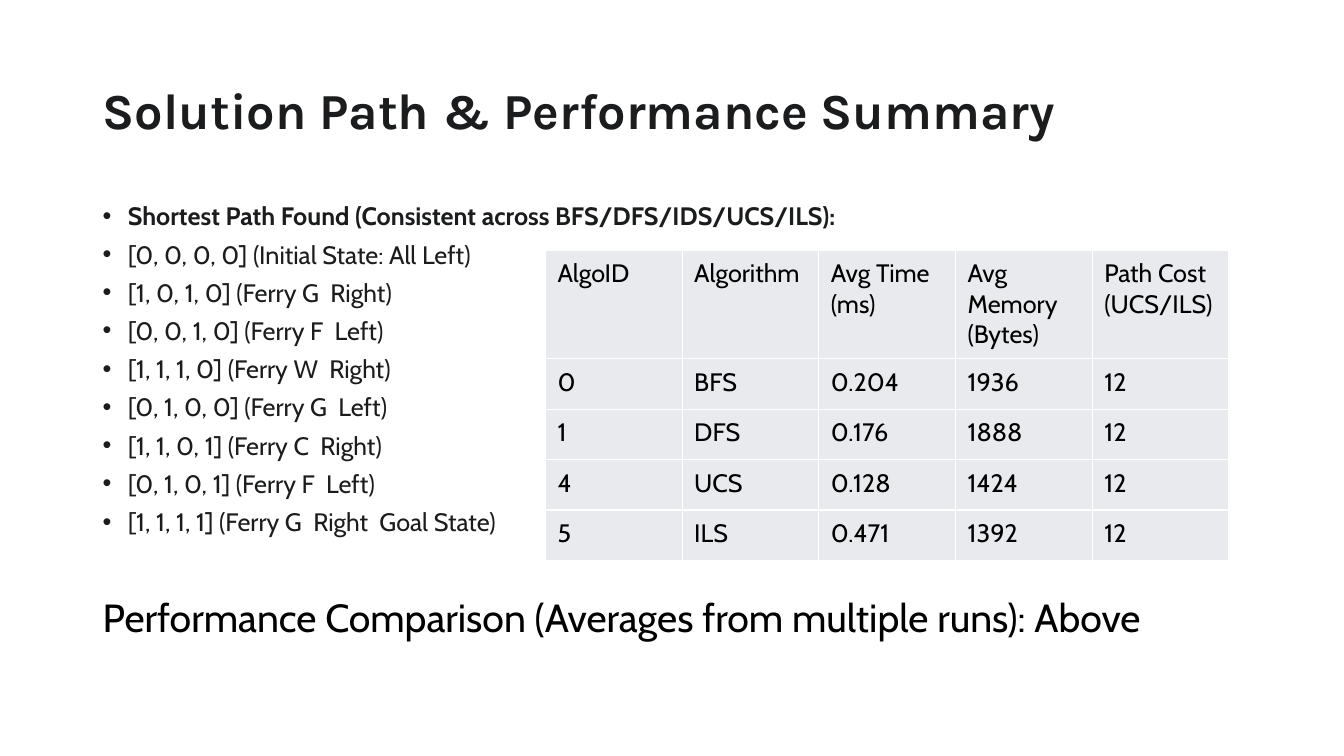
from pptx import Presentation
from pptx.dml.color import RGBColor
from pptx.enum.text import MSO_ANCHOR as Anchor
from pptx.oxml import parse_xml
from pptx.oxml.ns import nsdecls
from pptx.util import Inches, Pt

INK = RGBColor(0x1B, 0x1C, 0x1D)
BLACK = RGBColor(0x00, 0x00, 0x00)
CELL_GREY = RGBColor(0xE8, 0xEA, 0xED)
WHITE = RGBColor(0xFF, 0xFF, 0xFF)

TITLE = "Solution Path & Performance Summary"
PATH_HEADING = "Shortest Path Found (Consistent across BFS/DFS/IDS/UCS/ILS):"
PATH_STEPS = [
    "[0, 0, 0, 0] (Initial State: All Left)",
    "[1, 0, 1, 0] (Ferry G  Right)",
    "[0, 0, 1, 0] (Ferry F  Left)",
    "[1, 1, 1, 0] (Ferry W  Right)",
    "[0, 1, 0, 0] (Ferry G  Left)",
    "[1, 1, 0, 1] (Ferry C  Right)",
    "[0, 1, 0, 1] (Ferry F  Left)",
    "[1, 1, 1, 1] (Ferry G  Right  Goal State)",
]
COMPARISON = "Performance Comparison (Averages from multiple runs): Above"
RESULTS = [
    ["AlgoID", "Algorithm", "Avg Time (ms)", "Avg Memory (Bytes)", "Path Cost (UCS/ILS)"],
    ["0", "BFS", "0.204", "1936", "12"],
    ["1", "DFS", "0.176", "1888", "12"],
    ["4", "UCS", "0.128", "1424", "12"],
    ["5", "ILS", "0.471", "1392", "12"],
]
HEADER_HEIGHT, ROW_HEIGHT = 1.08, 0.5

# Formats
TITLE_FONT = {"name": "Karla", "size": Pt(36), "bold": True}
BODY_FONT = {"name": "Cabin", "size": Pt(18), "bold": False}
HEADING_FONT = {**BODY_FONT, "bold": True}
COMPARISON_FONT = {**BODY_FONT, "size": Pt(28)}
TITLE_SPACING = {"line_spacing": 0.9}
PATH_SPACING = {"line_spacing": 0.8, "space_before": Pt(10)}
COMPARISON_SPACING = {"line_spacing": 0.8, "space_before": Pt(47)}
CELL_SPACING = {"space_before": Pt(6), "space_after": Pt(6)}
CELL_FORMAT = {
    "margin_left": Inches(0.12), "margin_right": Inches(0.12),
    "margin_top": Inches(0.08), "margin_bottom": Inches(0.08),
    "vertical_anchor": Anchor.TOP,
}


def apply(target, values):
    for key, value in values.items():
        setattr(target, key, value)


def write(paragraph, text, font, color, spacing):
    apply(paragraph, spacing)
    run = paragraph.add_run()
    run.text = text
    apply(run.font, font)
    run.font.color.rgb = color


def add_bullet(paragraph):
    properties = paragraph._p.get_or_add_pPr()
    properties.set("marL", str(Inches(0.25)))
    properties.set("indent", str(-Inches(0.25)))
    for tag, attribute, value in (("buFont", "typeface", "Arial"), ("buChar", "char", "•")):
        properties.append(parse_xml(f'<a:{tag} {nsdecls("a")} {attribute}="{value}"/>'))


def add_frame(slide, box, anchor):
    frame = slide.shapes.add_textbox(*map(Inches, box)).text_frame
    apply(frame, {"word_wrap": True, "vertical_anchor": anchor})
    return frame


def add_title(slide, box):
    frame = add_frame(slide, box, Anchor.MIDDLE)
    write(frame.paragraphs[0], TITLE, TITLE_FONT, INK, TITLE_SPACING)


def add_solution_path(slide, box):
    frame = add_frame(slide, box, Anchor.TOP)
    heading = frame.paragraphs[0]
    write(heading, PATH_HEADING, HEADING_FONT, INK, PATH_SPACING)
    add_bullet(heading)
    for text in PATH_STEPS:
        step = frame.add_paragraph()
        write(step, text, BODY_FONT, INK, PATH_SPACING)
        add_bullet(step)
    # Closing line, set apart from the list
    write(frame.add_paragraph(), COMPARISON, COMPARISON_FONT, BLACK, COMPARISON_SPACING)


def add_borders(cell):
    properties = cell._tc.get_or_add_tcPr()
    for position, side in enumerate(("lnL", "lnR", "lnT", "lnB")):
        properties.insert(position, parse_xml(
            f'<a:{side} {nsdecls("a")} w="{Pt(1)}"><a:solidFill>'
            f'<a:srgbClr val="{WHITE}"/></a:solidFill></a:{side}>'))


def add_results(slide, box):
    columns = len(RESULTS[0])
    table = slide.shapes.add_table(len(RESULTS), columns, *map(Inches, box)).table
    apply(table, {"first_row": False, "horz_banding": False})
    for column in table.columns:
        column.width = Inches(box[2] / columns)
    for index, (row, values) in enumerate(zip(table.rows, RESULTS)):
        row.height = Inches(ROW_HEIGHT if index else HEADER_HEIGHT)
        for cell, value in zip(row.cells, values):
            apply(cell, CELL_FORMAT)
            cell.fill.solid()
            cell.fill.fore_color.rgb = CELL_GREY
            write(cell.text_frame.paragraphs[0], value, BODY_FONT, BLACK, CELL_SPACING)
            add_borders(cell)


def main():
    deck = Presentation()
    apply(deck, {"slide_width": Inches(13.33), "slide_height": Inches(7.5)})
    slide = deck.slides.add_slide(deck.slide_layouts[6])
    slide.background.fill.solid()
    slide.background.fill.fore_color.rgb = WHITE
    add_title(slide, (0.92, 0.4, 11.5, 1.45))
    add_solution_path(slide, (0.92, 2, 11.5, 4.76))
    add_results(slide, (5.41, 2.48, 6.78, 3.08))
    deck.save("out.pptx")


if __name__ == "__main__":
    main()
